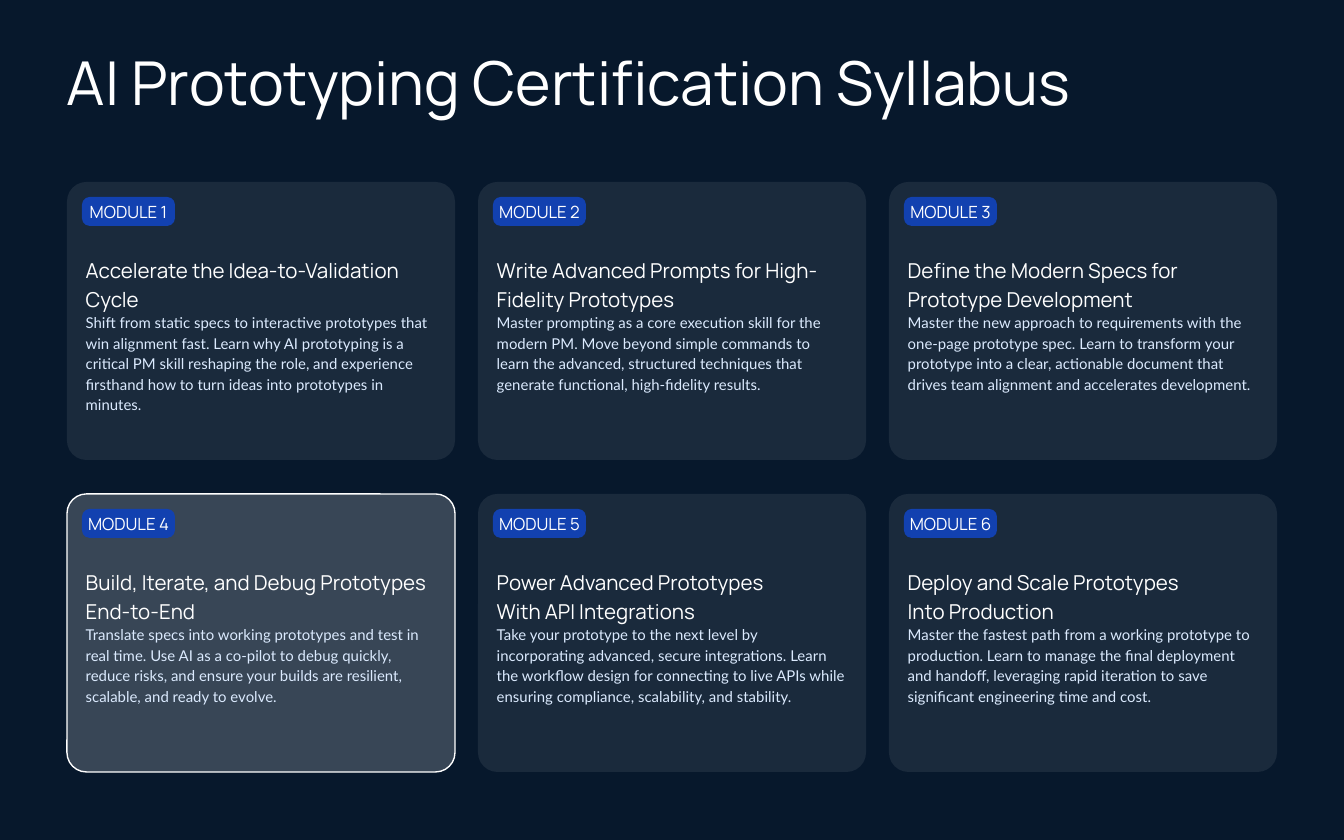
import pptx
import pptx.util
import pptx.dml.color
import pptx.enum.shapes
import pptx.enum.text
import pptx.oxml.ns
import lxml.etree

RGBColor = pptx.dml.color.RGBColor
ALIGN = pptx.enum.text.PP_ALIGN
ANCHOR = pptx.enum.text.MSO_ANCHOR

NAVY = RGBColor(0x07, 0x18, 0x2C)
WHITE = RGBColor(0xFF, 0xFF, 0xFF)
BLUE = RGBColor(0x12, 0x41, 0xB0)
PALE_BLUE = RGBColor(0xDB, 0xEA, 0xFE)
HEAD_FONT = "Manrope"
BODY_FONT = "Lato"

SLIDE_W, SLIDE_H = 1344, 840
EMU_PER_PX = 9144000 / SLIDE_W

MARGIN = 67
CARD_W, CARD_H = 388, 278
COLUMNS = 3
COL_STEP, ROW_STEP = 411, 312
GRID_TOP = 182
ACTIVE_MODULE = 4

MODULES = [
    ("Accelerate the Idea-to-Validation Cycle",
     "Shift from static specs to interactive prototypes that win alignment fast. "
     "Learn why AI prototyping is a critical PM skill reshaping the role, and "
     "experience firsthand how to turn ideas into prototypes in minutes."),
    ("Write Advanced Prompts for High-Fidelity Prototypes",
     "Master prompting as a core execution skill for the modern PM. Move beyond "
     "simple commands to learn the advanced, structured techniques that generate "
     "functional, high-fidelity results."),
    ("Define the Modern Specs for Prototype Development",
     "Master the new approach to requirements with the one-page prototype spec. "
     "Learn to transform your prototype into a clear, actionable document that "
     "drives team alignment and accelerates development."),
    ("Build, Iterate, and Debug Prototypes End-to-End",
     "Translate specs into working prototypes and test in real time. Use AI as a "
     "co-pilot to debug quickly, reduce risks, and ensure your builds are "
     "resilient, scalable, and ready to evolve."),
    ("Power Advanced Prototypes\vWith API Integrations",
     "Take your prototype to the next level by incorporating advanced, secure "
     "integrations. Learn the workflow design for connecting to live APIs while "
     "ensuring compliance, scalability, and stability."),
    ("Deploy and Scale Prototypes\vInto Production",
     "Master the fastest path from a working prototype to production. Learn to "
     "manage the final deployment and handoff, leveraging rapid iteration to save "
     "significant engineering time and cost."),
]


def px(n):
    return pptx.util.Emu(round(n * EMU_PER_PX))


def write(p, text, size, font=HEAD_FONT, color=WHITE, align=ALIGN.LEFT, spacing=1.0):
    """Fill a paragraph; a vertical tab in the text is a line break."""
    p.text = text
    p.alignment = align
    p.line_spacing = spacing
    for r in p.runs:
        r.font.size = pptx.util.Pt(size)
        r.font.name = font
        r.font.color.rgb = color


def set_frame(tf, insets, anchor):
    tf.word_wrap = True
    tf.auto_size = pptx.enum.text.MSO_AUTO_SIZE.NONE
    tf.vertical_anchor = anchor
    tf.margin_left, tf.margin_top, tf.margin_right, tf.margin_bottom = map(px, insets)


def add_round_rect(slide, x, y, w, h, radius, color, opacity=100):
    sp = slide.shapes.add_shape(pptx.enum.shapes.MSO_SHAPE.ROUNDED_RECTANGLE,
                                px(x), px(y), px(w), px(h))
    sp.adjustments[0] = radius
    sp.shadow.inherit = False
    sp.line.fill.background()
    sp.fill.solid()
    sp.fill.fore_color.rgb = color
    if opacity < 100:
        qn = pptx.oxml.ns.qn
        clr = sp._element.spPr.find(qn("a:solidFill")).find(qn("a:srgbClr"))
        lxml.etree.SubElement(clr, qn("a:alpha")).set("val", str(opacity * 1000))
    return sp


def add_title(slide, x, y, w, h, text):
    sp = slide.shapes.title
    sp.left, sp.top, sp.width, sp.height = px(x), px(y), px(w), px(h)
    set_frame(sp.text_frame, (0, 0, 0, 0), ANCHOR.MIDDLE)
    write(sp.text_frame.paragraphs[0], text, 32.4, spacing=0.8)


def add_module_card(slide, x, y, w, h, number, heading, body):
    # Card panel with heading and description
    active = number == ACTIVE_MODULE
    card = add_round_rect(slide, x, y, w, h, 0.07, WHITE, opacity=20 if active else 8)
    if active:
        card.line.color.rgb = WHITE
        card.line.width = pptx.util.Pt(0.75)
    tf = card.text_frame
    set_frame(tf, (13, 67, 13, 13), ANCHOR.TOP)
    write(tf.paragraphs[0], heading, 11, spacing=1.15)
    write(tf.add_paragraph(), body, 8, font=BODY_FONT, color=PALE_BLUE, spacing=1.15)

    # Module badge
    badge = add_round_rect(slide, x + 15, y + 15, 93, 29, 0.27, BLUE)
    set_frame(badge.text_frame, (0, 0, 0, 0), ANCHOR.MIDDLE)
    write(badge.text_frame.paragraphs[0], f"MODULE {number}", 9, align=ALIGN.CENTER)


def main():
    prs = pptx.Presentation()
    prs.slide_width, prs.slide_height = px(SLIDE_W), px(SLIDE_H)
    slide = prs.slides.add_slide(prs.slide_layouts[5])
    slide.background.fill.solid()
    slide.background.fill.fore_color.rgb = NAVY

    add_title(slide, MARGIN, 67, SLIDE_W - 2 * MARGIN, 43,
              "AI Prototyping Certification Syllabus")

    # Grid of modules
    for i, (heading, body) in enumerate(MODULES):
        row, col = divmod(i, COLUMNS)
        add_module_card(slide, MARGIN + col * COL_STEP, GRID_TOP + row * ROW_STEP,
                        CARD_W, CARD_H, i + 1, heading, body)

    prs.save("out.pptx")


if __name__ == "__main__":
    main()
